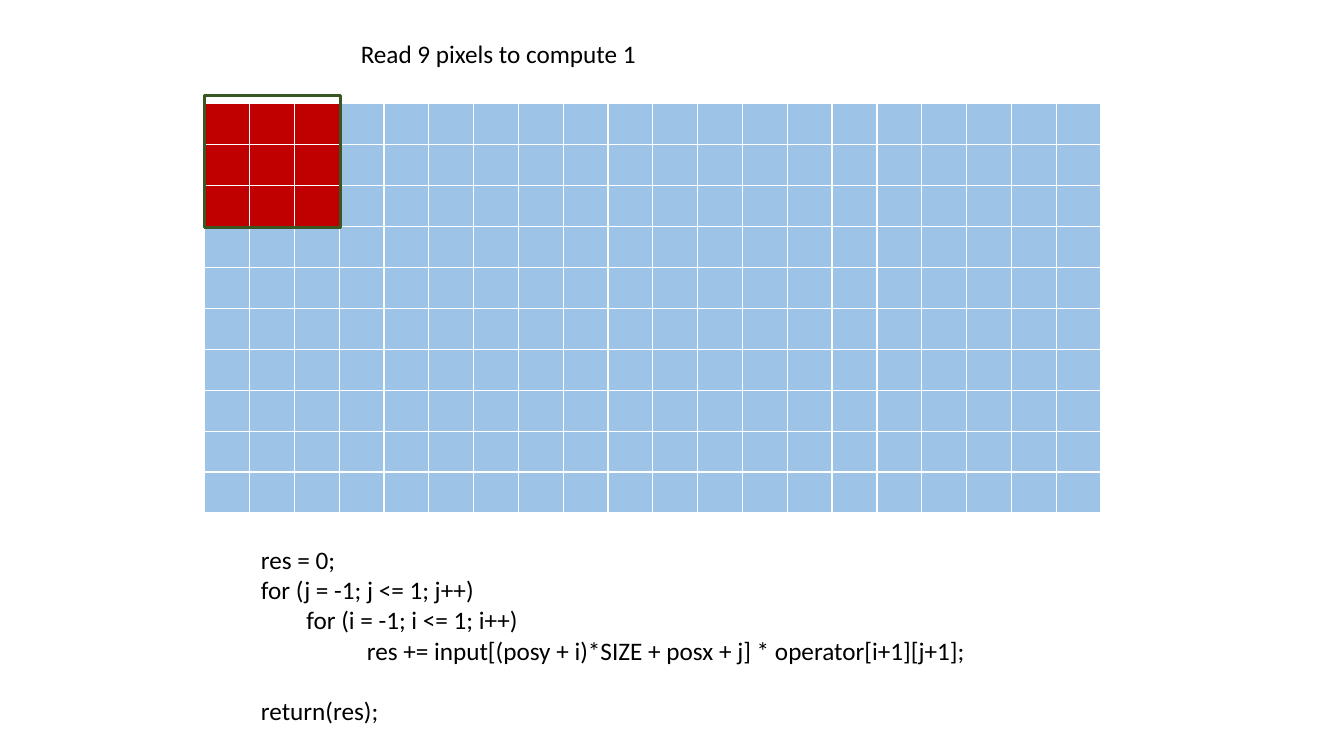
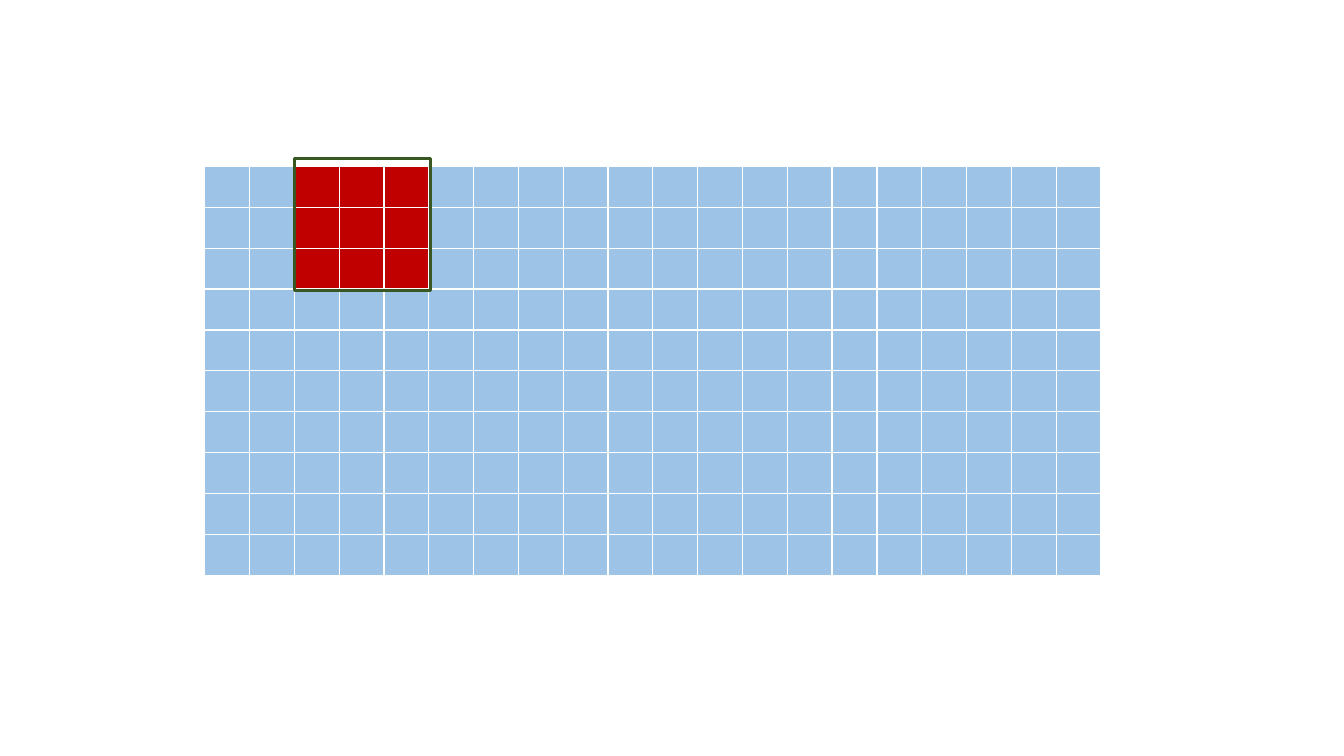
from pptx import Presentation
from pptx.dml.color import RGBColor
from pptx.enum import shapes, text
from pptx.util import Inches, Pt

ROWS, COLUMNS, WINDOW = 10, 20, 3
GRID_LEFT, GRID_WIDTH, GRID_HEIGHT = 2.03, 8.89, 4.06


def colour(value):
    return RGBColor.from_string(value)


class Slides:
    """Holds the shared style and the slide being built."""

    pixel, window, outline, ink = "9DC3E6", "C00000", "385723", "000000"
    font = {"name": "Calibri", "size": Pt(18)}

    def __init__(self):
        self.deck = Presentation()
        self.deck.slide_width, self.deck.slide_height = Inches(13.33), Inches(7.5)
        self.page = None

    def new_page(self):
        self.page = self.deck.slides.add_slide(self.deck.slide_layouts[6])

    def pixel_grid(self, top, first):
        """Pixel table whose red window starts at column `first`."""
        table = self.page.shapes.add_table(
            ROWS, COLUMNS, Inches(GRID_LEFT), Inches(top),
            Inches(GRID_WIDTH), Inches(GRID_HEIGHT)).table
        # The default style supplies the white rules, thicker below the first row
        table.horz_banding = False
        for row in range(ROWS):
            for column in range(COLUMNS):
                inside = row < WINDOW and first <= column < first + WINDOW
                fill = table.cell(row, column).fill
                fill.solid()
                fill.fore_color.rgb = colour(self.window if inside else self.pixel)

    def window_frame(self, grid_top, first):
        left = GRID_LEFT + first * GRID_WIDTH / COLUMNS
        frame = self.page.shapes.add_shape(
            shapes.MSO_SHAPE.RECTANGLE, Inches(left), Inches(grid_top - 0.08),
            Inches(1.35), Inches(1.31))
        frame.shadow.inherit = False
        frame.fill.background()
        frame.line.color.rgb = colour(self.outline)
        frame.line.width = Pt(2.25)

    def text_box(self, left, top, width, height, lines, wrap=True):
        """Each line is (text, indent in inches, space before in points)."""
        box = self.page.shapes.add_textbox(
            Inches(left), Inches(top), Inches(width), Inches(height))
        frame = box.text_frame
        frame.word_wrap = wrap
        frame.auto_size = text.MSO_AUTO_SIZE.SHAPE_TO_FIT_TEXT
        for number, (words, indent, before) in enumerate(lines):
            para = frame.add_paragraph() if number else frame.paragraphs[0]
            para.space_before = Pt(before)
            if indent:
                para._p.get_or_add_pPr().set("marL", str(Inches(indent)))
            span = para.add_run()
            span.text = words
            for name, value in self.font.items():
                setattr(span.font, name, value)
            span.font.color.rgb = colour(self.ink)


def main():
    slides = Slides()

    # Window at the first pixel, with the code that reads it
    slides.new_page()
    slides.pixel_grid(1.03, first=0)
    slides.window_frame(1.03, first=0)
    slides.text_box(3.48, 0.33, 2.96, 0.4,
                    [("Read 9 pixels to compute 1", 0, 0)], wrap=False)
    slides.text_box(2.49, 5.35, 7.69, 1.92, [
        ("res = 0;", 0, 0),
        ("for (j = -1; j <= 1; j++)", 0, 0),
        ("for (i = -1; i <= 1; i++)", 0.45, 0),
        ("res += input[(posy + i)*SIZE + posx + j] * operator[i+1][j+1];", 1.05, 0),
        ("return(res);", 0, 21.6),
    ])

    # Window moved two pixels to the right
    slides.new_page()
    slides.pixel_grid(1.65, first=2)
    slides.window_frame(1.65, first=2)

    slides.deck.save("out.pptx")


if __name__ == "__main__":
    main()
